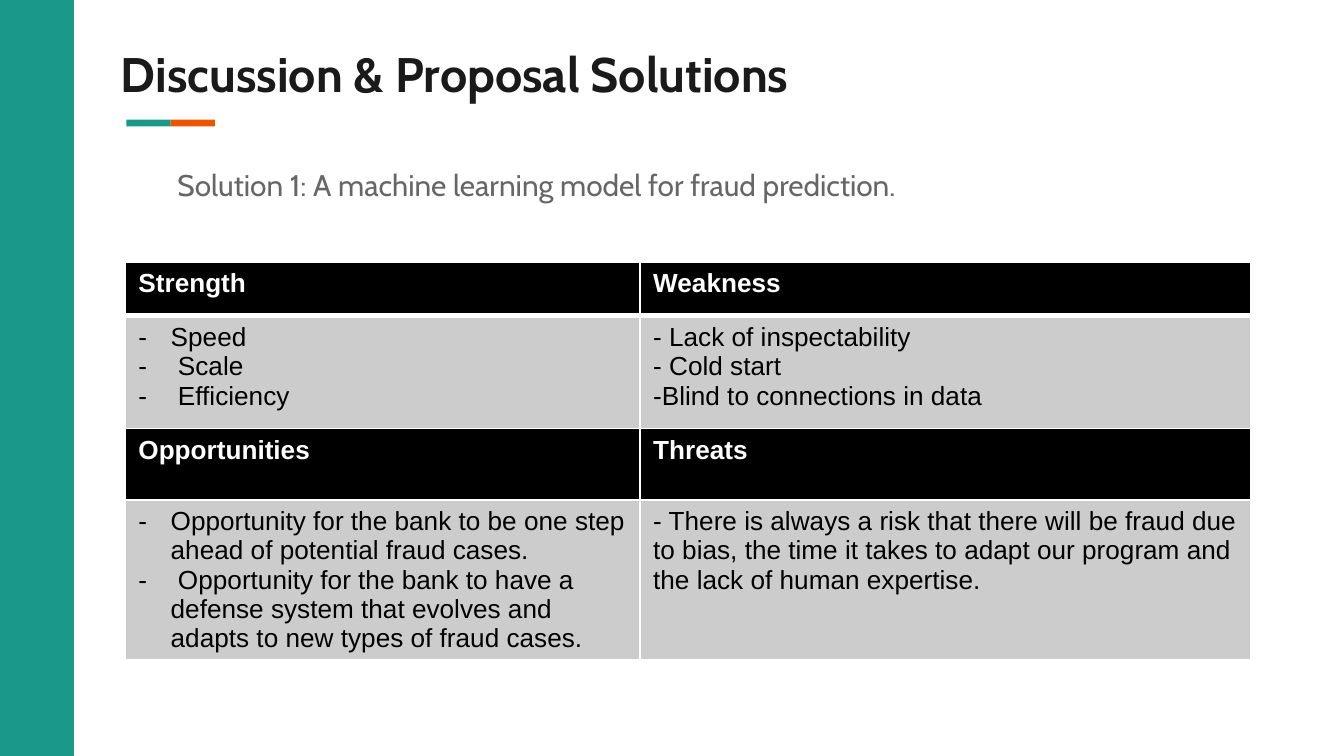
from dataclasses import dataclass

from lxml.etree import SubElement
from pptx import Presentation
from pptx.dml.color import RGBColor
from pptx.enum.shapes import MSO_SHAPE as Shape
from pptx.enum.text import MSO_ANCHOR as Anchor, MSO_AUTO_SIZE as AutoSize, PP_ALIGN as Align
from pptx.oxml.ns import qn
from pptx.util import Inches, Pt


@dataclass(frozen=True)
class Theme:
    teal: str = "1A9988"
    orange: str = "EB5500"
    ink: str = "1A1A1A"
    grey: str = "666666"
    black: str = "000000"
    white: str = "FFFFFF"
    cell: str = "CCCCCC"
    heading_font: str = "Cabin"
    table_font: str = "Arial"
    title_size: int = 26
    subtitle_size: int = 16
    table_size: int = 14


class SlideBuilder:
    """Draws the elements of one slide in a shared style."""

    def __init__(self, slide, theme):
        self.slide = slide
        self.theme = theme

    def style(self, paragraph, font_name, size, color, bold=False):
        font = paragraph.font
        font.name, font.size, font.bold = font_name, Pt(size), bold
        font.color.rgb = RGBColor.from_string(color)
        paragraph.alignment = Align.LEFT
        paragraph.space_before = Pt(0)

    def indent(self, paragraph, left, first):
        properties = paragraph._p.get_or_add_pPr()
        properties.set("marL", str(Inches(left)))
        properties.set("indent", str(Inches(first)))
        return properties

    def bullet(self, paragraph, indent):
        properties = self.indent(paragraph, indent, -indent)
        SubElement(properties, qn("a:buFont"), typeface=self.theme.table_font)
        SubElement(properties, qn("a:buChar"), char="-")
        properties.append(properties.find(qn("a:defRPr")))

    def bar(self, left, top, width, height, color):
        shape = self.slide.shapes.add_shape(
            Shape.RECTANGLE, Inches(left), Inches(top), Inches(width), Inches(height))
        shape.shadow.inherit = False
        shape.fill.solid()
        shape.fill.fore_color.rgb = RGBColor.from_string(color)
        shape.line.fill.background()

    def placeholder(self, index, text, box, size, color, bold=False):
        shape = self.slide.placeholders[index]
        shape.left, shape.top, shape.width, shape.height = map(Inches, box)
        frame = shape.text_frame
        frame.text = text
        frame.margin_left = frame.margin_top = frame.margin_right = frame.margin_bottom = 0
        frame.auto_size, frame.vertical_anchor = AutoSize.NONE, Anchor.TOP
        frame.word_wrap = True
        paragraph = frame.paragraphs[0]
        self.style(paragraph, self.theme.heading_font, size, color, bold)
        return paragraph

    def border(self, cell, side, width):
        line = SubElement(cell._tc.get_or_add_tcPr(), qn(f"a:ln{side}"), w=str(Pt(width)))
        fill = SubElement(line, qn("a:solidFill"))
        SubElement(fill, qn("a:srgbClr"), val=self.theme.white)

    def cell(self, cell, lines, header, bullet_indent, top, bottom):
        theme = self.theme
        for side, width in (("L", 1), ("R", 1), ("T", top), ("B", bottom)):
            self.border(cell, side, width)
        cell.fill.solid()
        cell.fill.fore_color.rgb = RGBColor.from_string(theme.black if header else theme.cell)
        cell.text = "\n".join(lines)
        for paragraph in cell.text_frame.paragraphs:
            self.style(paragraph, theme.table_font, theme.table_size,
                       theme.white if header else theme.black, header)
            if bullet_indent is not None:
                self.bullet(paragraph, bullet_indent)

    def table(self, left, top, widths, heights, rows):
        table = self.slide.shapes.add_table(
            len(rows), len(widths), Inches(left), Inches(top),
            Inches(sum(widths)), Inches(sum(heights))).table
        for column, width in zip(table.columns, widths):
            column.width = Inches(width)
        for index, (row, height, cells) in enumerate(zip(table.rows, heights, rows)):
            row.height = Inches(height)
            for cell, (lines, bullet_indent) in zip(row.cells, cells):
                self.cell(cell, lines, index % 2 == 0, bullet_indent,
                          3 if index == 1 else 1, 3 if index == 0 else 1)


SWOT = [
    [(["Strength"], None), (["Weakness"], None)],
    [(["Speed", " Scale", " Efficiency"], 0.24),
     ([" Lack of inspectability", " Cold start", "Blind to connections in data"], 0)],
    [(["Opportunities"], None), (["Threats"], None)],
    [(["Opportunity for the bank to be one step ahead of potential fraud cases.",
       " Opportunity for the bank to have a defense system that evolves and adapts "
       "to new types of fraud cases."], 0.24),
     (["- There is always a risk that there will be fraud due to bias, the time it takes "
       "to adapt our program and the lack of human expertise."], None)],
]


def main():
    theme = Theme()
    presentation = Presentation()
    presentation.slide_width = Inches(10)
    presentation.slide_height = presentation.slide_width * 9 // 16
    slide = presentation.slides.add_slide(presentation.slide_layouts[0])
    builder = SlideBuilder(slide, theme)

    builder.bar(0, 0, 0.55, presentation.slide_height.inches, theme.teal)
    for index, color in enumerate((theme.teal, theme.orange)):
        builder.bar(0.94 + index * 0.33, 0.89, 0.33, 0.05, color)
    builder.placeholder(0, "Discussion & Proposal Solutions", (0.9, 0.33, 8.2, 0.44),
                        theme.title_size, theme.ink, bold=True)
    subtitle = builder.placeholder(
        1, "Solution 1: A machine learning model for fraud prediction.",
        (1.07, 1.24, 7.37, 0.54), theme.subtitle_size, theme.grey)
    builder.indent(subtitle, 0.5, -0.25)
    builder.table(0.93, 1.95, (3.83, 4.55), (0.4, 0.84, 0.53, 1.19), SWOT)
    presentation.save("out.pptx")


if __name__ == "__main__":
    main()
